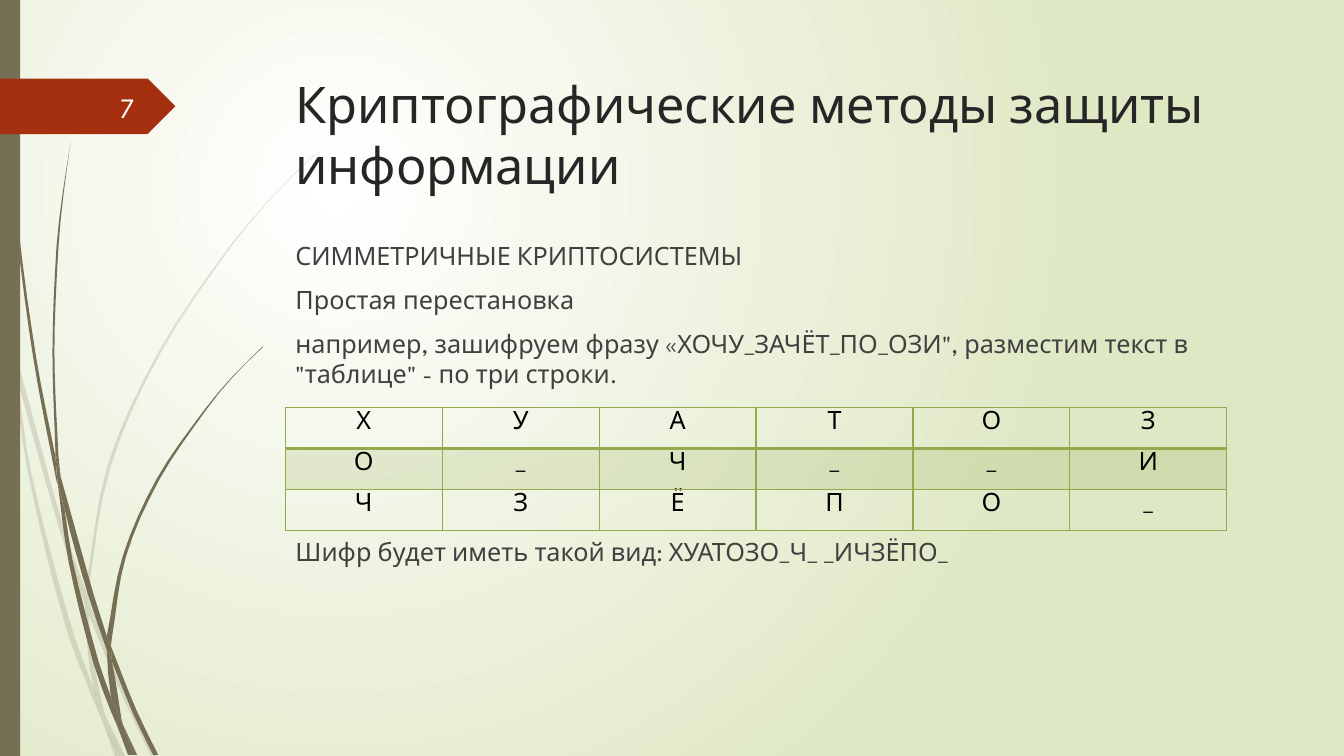
from dataclasses import dataclass
from lxml.etree import SubElement
from pptx import Presentation
from pptx.dml.color import RGBColor
from pptx.enum.shapes import MSO_SHAPE
from pptx.enum.text import MSO_ANCHOR, MSO_AUTO_SIZE, PP_ALIGN
from pptx.oxml import parse_xml
from pptx.oxml.ns import nsdecls, qn
from pptx.util import Inches, Pt

TITLE = "Криптографические методы защиты информации"
BODY = [
    ("СИММЕТРИЧНЫЕ КРИПТОСИСТЕМЫ", 10),
    ("Простая перестановка", 10),
    ("например,\u00a0зашифруем фразу «ХОЧУ_ЗАЧЁТ_ПО_ОЗИ\", разместим текст в "
     "\"таблице\" - по три строки.", 10),
    ("Шифр будет иметь такой вид: ХУАТОЗО_Ч_ _ИЧЗЁПО_", 105),
]
CIPHER_ROWS = ["ХУАТОЗ", "О_Ч__И", "ЧЗЁПО_"]
SLIDE_NUMBER = "7"

PALE_BLADES = [
    ([(0, 2.82), (0.09, 3.22), (0.11, 3.5)], [(0.1, 3.44), (0, 2.99)]),
    ([(0.14, 3.45), (0.62, 5.2), (0.85, 5.86)], [(0.84, 5.99), (0.58, 5.22), (0.17, 3.76)]),
    ([(0.88, 5.96), (0.92, 6.07), (1.27, 6.92), (1.55, 7.5)], [(1.5, 7.5), (1.23, 6.94), (0.88, 6.1)]),
    ([(1.05, 7.11), (1.24, 7.5)], [(1.19, 7.5), (1.05, 7.11)]),
    ([(0.11, 3.5), (0.17, 3.76), (0.31, 4.69), (0.7, 6.19), (0.93, 6.83)],
     [(0.99, 7.07), (1.01, 7.14), (0.92, 6.93), (0.65, 6.21), (0.28, 4.7), (0.11, 3.5)]),
    ([(0.84, 5.99), (0.88, 6.1), (0.91, 6.46), (1.03, 7.06)],
     [(1.05, 7.11), (0.93, 6.83), (0.87, 6.46), (0.84, 5.99)]),
    ([(0.88, 5.96), (0.88, 5.84), (1.1, 4.62), (1.6, 3.49), (2.29, 2.45), (2.68, 1.98), (2.9, 1.75), (3.12, 1.54)],
     [(3.12, 1.53), (2.89, 1.75), (2.68, 1.97), (2.28, 2.44), (1.58, 3.48), (1.07, 4.61), (0.85, 5.84)]),
    ([(1.01, 7.14), (1.19, 7.5)], [(1.14, 7.5), (1.01, 7.14)]),
    ([(0.85, 5.86), (0.88, 5.96)], [(0.88, 6.1), (0.84, 5.99)]),
    ([(0.93, 6.83), (1.05, 7.11), (1.19, 7.5)], [(1.19, 7.5), (1.01, 7.14), (0.93, 6.83)]),
]
DARK_BLADES = [
    ([(0.04, 0), (0.05, 0.48), (0.08, 1.09), (0.19, 2.32), (0.36, 3.55), (0.55, 4.53)],
     [(0.57, 4.81), (0.56, 4.77), (0.33, 3.55), (0.17, 2.33), (0.07, 1.1), (0.04, 0.48), (0.03, 0)]),
    ([(0.6, 4.72), (0.93, 5.9), (1.06, 6.31)], [(1.06, 6.45), (0.88, 5.92), (0.64, 5.05), (0.6, 4.72)]),
    ([(1.1, 6.41), (1.36, 7.06), (1.57, 7.49)], [(1.52, 7.49), (1.32, 7.08), (1.11, 6.56)]),
    ([(0.57, 4.77), (0.64, 5.05), (0.72, 5.56), (0.98, 6.57), (1.1, 6.91)],
     [(1.17, 7.22), (1.11, 7.08), (0.93, 6.59), (0.68, 5.57), (0.57, 4.77)]),
    ([(0.7, 1.41), (0.63, 1.93), (0.58, 2.45), (0.54, 3.49), (0.58, 4.53), (0.6, 4.72)],
     [(0.55, 4.49), (0.52, 3.49), (0.56, 2.45), (0.62, 1.93), (0.7, 1.41)]),
    ([(1.22, 7.19), (1.36, 7.49)], [(1.33, 7.49), (1.22, 7.19)]),
    ([(0.55, 4.49), (0.6, 4.72), (0.64, 5.05)], [(0.57, 4.77), (0.55, 4.53)]),
    ([(1.1, 6.41), (1.11, 6.33), (1.25, 5.52), (1.58, 4.76), (2.05, 4.06), (2.31, 3.74), (2.61, 3.44)],
     [(2.6, 3.44), (2.31, 3.73), (2.04, 4.05), (1.56, 4.74), (1.22, 5.51), (1.06, 6.31)]),
    ([(1.17, 7.22), (1.31, 7.49)], [(1.27, 7.49), (1.17, 7.22)]),
    ([(1.06, 6.45), (1.11, 6.56), (1.21, 7.16)], [(1.22, 7.19), (1.1, 6.91), (1.06, 6.45)]),
    ([(1.06, 6.31), (1.1, 6.41)], [(1.11, 6.56), (1.06, 6.45)]),
    ([(1.1, 6.91), (1.22, 7.19), (1.33, 7.49)], [(1.3, 7.49), (1.17, 7.22), (1.1, 6.91)]),
]


@dataclass(frozen=True)
class Theme:
    font: str = "League Spartan"
    title: str = "262626"
    body: str = "404040"
    cell: str = "000000"
    number: str = "FEFFFF"
    blade: str = "766F54"
    banner: str = "A53010"
    accent: str = "92AA4C"
    glow: str = "FFFFFF"
    edge: str = "DFE8C4"
    title_size: int = 36
    body_size: int = 18
    number_size: int = 20


THEME = Theme()


def add_run(paragraph, text, size, color):
    run = paragraph.add_run()
    run.text = text
    run.font.name = THEME.font
    run.font.size = Pt(size)
    run.font.color.rgb = RGBColor.from_string(color)


def place(shape, left, top, width, height):
    shape.left, shape.top = Inches(left), Inches(top)
    shape.width, shape.height = Inches(width), Inches(height)


def set_alpha(fill, percent):
    color = fill.fore_color._xFill.find(qn("a:srgbClr"))
    SubElement(color, qn("a:alpha"), val=str(percent * 1000))


def paint(shape, color, alpha=100):
    shape.shadow.inherit = False
    shape.fill.solid()
    shape.fill.fore_color.rgb = RGBColor.from_string(color)
    shape.line.fill.background()
    if alpha < 100:
        set_alpha(shape.fill, alpha)


def set_background(slide):
    stops = "".join(
        f'<a:gs pos="{position}"><a:srgbClr val="{color}"/></a:gs>'
        for position, color in ((0, THEME.glow), (100000, THEME.edge)))
    slide.background.fill.solid()
    properties = slide.background._cSld.bg.bgPr
    properties.replace(properties[0], parse_xml(
        f'<a:gradFill {nsdecls("a")} rotWithShape="1"><a:gsLst>{stops}</a:gsLst>'
        '<a:path path="circle"><a:fillToRect l="50000" t="50000" r="100000" '
        'b="100000"/></a:path></a:gradFill>'))


def smooth_edge(points):
    last = len(points) - 1
    slopes = []
    for index in range(last + 1):
        x0, y0 = points[max(index - 1, 0)]
        x1, y1 = points[min(index + 1, last)]
        slopes.append((x1 - x0) / (y1 - y0))
    edge = []
    for index in range(last):
        (x0, y0), (x1, y1) = points[index:index + 2]
        span = y1 - y0
        steps = 4 if abs(span) > 0.6 else 2 if abs(span) > 0.3 else 1
        for t in (step / steps for step in range(steps)):
            x = (x0 * (1 + 2 * t) * (1 - t) ** 2 + x1 * t * t * (3 - 2 * t)
                 + span * slopes[index] * t * (1 - t) ** 2
                 + span * slopes[index + 1] * t * t * (t - 1))
            edge.append((x, y0 + span * t))
    return edge + [points[last]]


def add_blade(slide, edges, alpha):
    outline = [(x * 1000, y * 1000) for edge in edges for x, y in smooth_edge(edge)]
    builder = slide.shapes.build_freeform(*outline[0], scale=Inches(1) / 1000)
    builder.add_line_segments(outline[1:], close=True)
    paint(builder.convert_to_shape(), THEME.blade, alpha)


def add_block(slide, kind, left, top, width, height, color):
    block = slide.shapes.add_shape(kind, 0, 0, 0, 0)
    place(block, left, top, width, height)
    paint(block, color)


def set_borders(cell, top, bottom):
    properties = cell._tc.get_or_add_tcPr()
    widths = {"lnL": 1, "lnR": 1, "lnT": top, "lnB": bottom}
    for index, (side, width) in enumerate(widths.items()):
        properties.insert(index, parse_xml(
            f'<a:{side} {nsdecls("a")} w="{Pt(width)}"><a:solidFill>'
            f'<a:srgbClr val="{THEME.accent}"/></a:solidFill></a:{side}>'))


def add_cipher_table(slide):
    frame = slide.shapes.add_table(len(CIPHER_ROWS), len(CIPHER_ROWS[0]), Inches(2.83),
                                   Inches(4.04), Inches(9.34), Inches(1.22))
    for row_index, letters in enumerate(CIPHER_ROWS):
        for column_index, letter in enumerate(letters):
            cell = frame.table.cell(row_index, column_index)
            if row_index == 1:
                cell.fill.solid()
                cell.fill.fore_color.rgb = RGBColor.from_string(THEME.accent)
                set_alpha(cell.fill, 20)
            else:
                cell.fill.background()
            set_borders(cell, 2.25 if row_index == 1 else 1, 2.25 if row_index == 0 else 1)
            paragraph = cell.text_frame.paragraphs[0]
            paragraph.alignment = PP_ALIGN.CENTER
            add_run(paragraph, letter, THEME.body_size, THEME.cell)


def add_texts(slide):
    title, body = slide.placeholders
    place(title, 2.83, 0.68, 9.75, 1.4)
    place(body, 2.83, 2.33, 9.75, 4.13)
    for shape in (title, body):
        shape.text_frame.vertical_anchor = MSO_ANCHOR.TOP
        shape.text_frame.auto_size = MSO_AUTO_SIZE.NONE
    title.text_frame.paragraphs[0].alignment = PP_ALIGN.LEFT
    add_run(title.text_frame.paragraphs[0], TITLE, THEME.title_size, THEME.title)
    for index, (text, space) in enumerate(BODY):
        frame = body.text_frame
        paragraph = frame.add_paragraph() if index else frame.paragraphs[0]
        paragraph.space_before = Pt(space)
        properties = paragraph._p.get_or_add_pPr()
        properties.set("marL", "0")
        properties.set("indent", "0")
        SubElement(properties, qn("a:buNone"))
        add_run(paragraph, text, THEME.body_size, THEME.body)
    number = slide.shapes.add_textbox(Inches(0.58), Inches(0.86), Inches(0.85), Inches(0.4))
    number.text_frame.word_wrap = True
    number.text_frame.vertical_anchor = MSO_ANCHOR.MIDDLE
    number.text_frame.paragraphs[0].alignment = PP_ALIGN.RIGHT
    add_run(number.text_frame.paragraphs[0], SLIDE_NUMBER, THEME.number_size, THEME.number)


def main():
    presentation = Presentation()
    presentation.slide_width, presentation.slide_height = Inches(13.33), Inches(7.5)
    slide = presentation.slides.add_slide(presentation.slide_layouts[1])
    set_background(slide)
    for blades, alpha in ((PALE_BLADES, 20), (DARK_BLADES, 100)):
        for edges in blades:
            add_blade(slide, edges, alpha)
    add_block(slide, MSO_SHAPE.RECTANGLE, 0, 0, 0.2, 7.5, THEME.blade)
    add_block(slide, MSO_SHAPE.PENTAGON, 0, 0.78, 1.74, 0.55, THEME.banner)
    add_texts(slide)
    add_cipher_table(slide)
    presentation.save("out.pptx")


if __name__ == "__main__":
    main()
